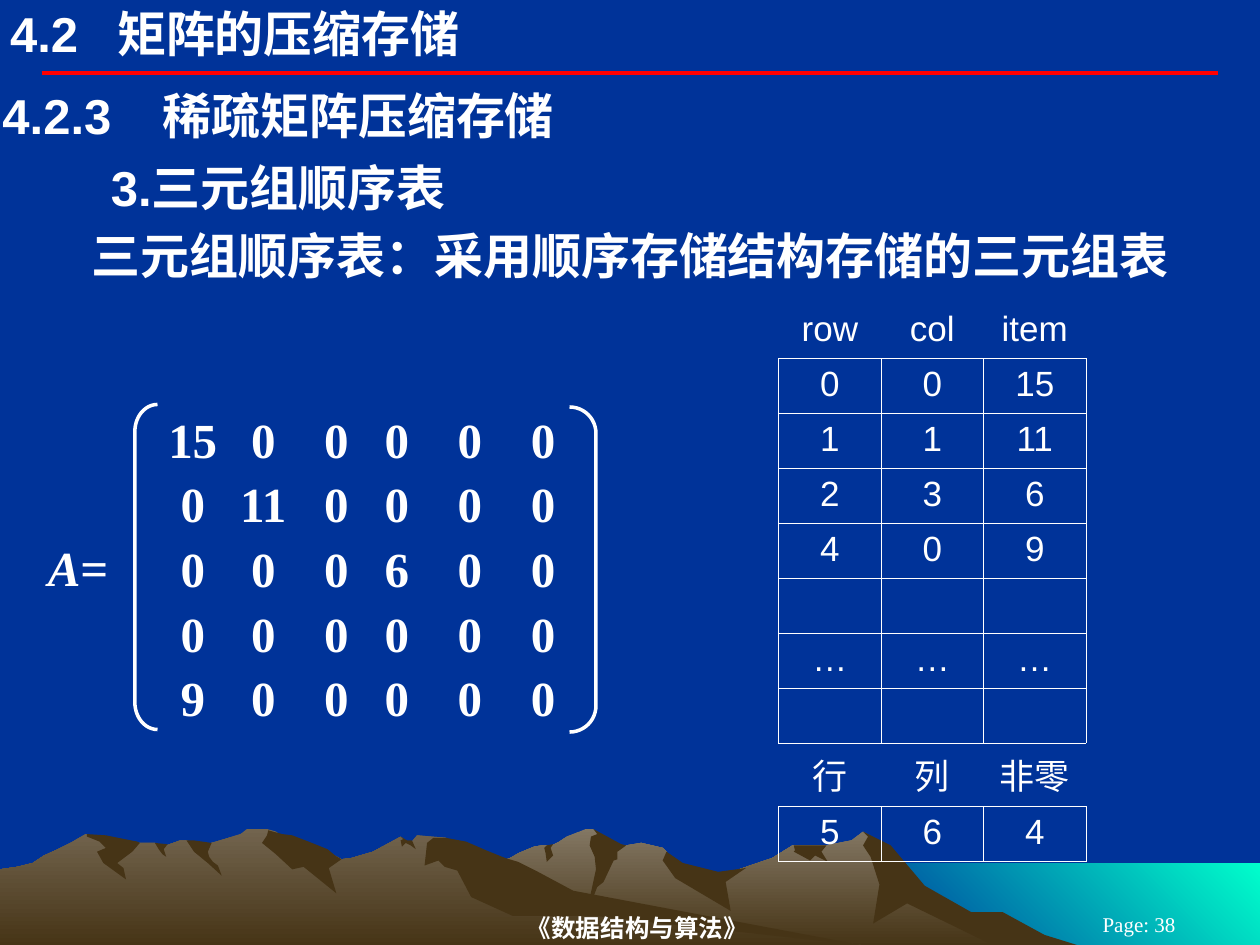
from lxml import etree
from pptx import Presentation
from pptx import util as u
from pptx.dml.color import RGBColor
from pptx.enum import shapes, text
from pptx.oxml.ns import qn

PX = 9144  # EMU per px, 100 px to the inch
WHITE, BROWN = "FFFFFF", "463416"
SANS, SERIF = "Arial", "Times New Roman"

SEA = [(1000, 752), (683, 752), (683, 685), (1000, 685)]
RIGHT_RIDGE = [
    (802, 740), (778, 727), (764, 723), (723, 698), (702, 671), (685, 660), (676, 667),
    (656, 671), (629, 671), (613, 681), (566, 697), (536, 690), (529, 676), (526, 673),
    (509, 669), (497, 671), (486, 673), (474, 661), (471, 658), (465, 658), (450, 664),
    (444, 668), (438, 671), (430, 671), (424, 672), (412, 677), (405, 681), (394, 685),
    (355, 698), (327, 709), (277, 739), (258, 751), (821, 751)]
LEFT_RIDGE = [
    (690, 751), (667, 748), (432, 712), (354, 665), (331, 663), (327, 668), (323, 668),
    (318, 664), (296, 676), (279, 681), (271, 682), (260, 676), (236, 681), (223, 663),
    (219, 660), (212, 658), (196, 658), (191, 662), (178, 666), (168, 669), (160, 671),
    (148, 667), (143, 667), (132, 671), (128, 671), (123, 669), (111, 669), (94, 671),
    (68, 662), (56, 669), (46, 674), (35, 679), (26, 685), (14, 688), (0, 690), (0, 751)]
RIGHT_SHADOWS = [
    [(796, 724), (771, 724), (734, 703), (707, 671), (685, 660), (689, 664), (685, 671),
     (691, 680), (698, 702), (693, 733), (720, 717), (792, 752), (858, 751), (829, 742)],
    [(471, 658), (474, 662), (469, 664), (468, 671), (472, 680), (473, 690), (465, 727),
     (474, 704), (479, 700), (487, 683), (490, 682), (490, 676), (497, 671), (493, 670)],
    [(529, 676), (526, 683), (536, 697), (580, 723), (576, 700), (592, 689), (570, 692),
     (542, 685)],
    [(650, 671), (630, 671), (631, 675), (630, 676), (643, 683), (647, 679), (657, 684),
     (652, 676), (656, 671)],
    [(433, 677), (432, 673), (434, 671), (439, 670), (437, 673), (439, 679), (434, 684)]]
LEFT_SHADOWS = [
    [(212, 663), (208, 669), (219, 678), (232, 690), (241, 688), (267, 709), (261, 689),
     (271, 682), (266, 679), (260, 674), (245, 668), (232, 663), (224, 662), (213, 659)],
    [(370, 668), (354, 665), (344, 665), (339, 669), (337, 687), (348, 683), (353, 688),
     (363, 691), (374, 712), (407, 727), (472, 727), (690, 751), (683, 750), (455, 707),
     (427, 692), (411, 684), (401, 681), (386, 675)],
    [(318, 667), (320, 666), (318, 664), (323, 667), (327, 667), (330, 674), (326, 671),
     (322, 669), (319, 672)],
    [(154, 667), (168, 669), (165, 676), (166, 680), (169, 684), (173, 687), (176, 695),
     (165, 685), (154, 676), (148, 667)],
    [(133, 670), (130, 674), (132, 680), (129, 678), (126, 674), (123, 669)],
    [(109, 668), (111, 669), (105, 676), (93, 685), (98, 689), (100, 698), (82, 685),
     (77, 676), (84, 673), (79, 668), (69, 664), (69, 662), (84, 663), (94, 665)]]

MATRIX = [[15, 0, 0, 0, 0, 0],
          [0, 11, 0, 0, 0, 0],
          [0, 0, 0, 6, 0, 0],
          [0, 0, 0, 0, 0, 0],
          [9, 0, 0, 0, 0, 0]]
MATRIX_TABS = [20, 76, 134, 182, 240, 298]

TRIPLES = [["row", "col", "item"], ["0", "0", "15"], ["1", "1", "11"], ["2", "3", "6"],
           ["4", "0", "9"], [""] * 3, ["…"] * 3, [""] * 3,
           ["行", "列", "非零"], ["5", "6", "4"]]
LABEL_ROWS = {0: ("lnB",), 8: ("lnT", "lnB")}  # borders the caption rows keep


def px(*lengths):
    return [u.Emu(n * PX) for n in lengths]


def rgb(code):
    return RGBColor.from_string(code)


def style(p, font, size, bold=False):
    for r in p.runs:
        f = r.font
        f.name, f.size, f.bold = font, u.Pt(size), bold
        f.color.rgb = rgb(WHITE)


def set_tabs(p, stops, align="l"):
    tab_list = etree.SubElement(p._p.get_or_add_pPr(), qn("a:tabLst"))
    for stop in stops:
        etree.SubElement(tab_list, qn("a:tab"), pos=str(stop * PX), algn=align)


def format_frame(tf, anchor=text.MSO_ANCHOR.TOP, inset=0):
    tf.word_wrap, tf.auto_size = True, text.MSO_AUTO_SIZE.NONE
    tf.vertical_anchor = anchor
    tf.margin_left = tf.margin_right = u.Emu(inset * PX)
    tf.margin_top = tf.margin_bottom = u.Emu(inset // 2 * PX)


def add_text(parent, box, words, font, size, bold=True, align=text.PP_ALIGN.LEFT,
             anchor=text.MSO_ANCHOR.TOP, inset=0, indent=0, tabs=()):
    tf = parent.add_textbox(*px(*box)).text_frame
    format_frame(tf, anchor, inset)
    p = tf.paragraphs[0]
    p.text, p.alignment = words, align
    if indent:
        p._p.get_or_add_pPr().set("marL", str(indent * PX))
    if tabs:
        set_tabs(p, tabs)
    style(p, font, size, bold)
    return p


def add_title(s):
    title = s.shapes.title
    title.left, title.top, title.width, title.height = px(8, 3, 650, 47)
    format_frame(title.text_frame)
    p = title.text_frame.paragraphs[0]
    p.text, p.alignment = "4.2\t矩阵的压缩存储", text.PP_ALIGN.LEFT
    set_tabs(p, [85])
    style(p, SANS, 28, True)


def add_outline(parent, points, colours, angle=0):
    """Fill a closed outline with one colour, or with a gradient of two."""
    builder = parent.build_freeform(*points[0], scale=PX)
    builder.add_line_segments(points[1:])
    sp = builder.convert_to_shape()
    sp.shadow.inherit = False
    sp.line.fill.background()
    if len(colours) == 1:
        sp.fill.solid()
        sp.fill.fore_color.rgb = rgb(colours[0])
        return
    sp.fill.gradient()
    sp.fill.gradient_angle = angle
    for stop, colour in zip(sp.fill.gradient_stops, colours):
        stop.color.rgb = rgb(colour)


def add_landscape(s):
    add_outline(s.shapes, SEA, ["00FFCC", "003399"], 225)
    mountains = s.shapes.add_group_shape().shapes
    for ridge, light, shadows in ((RIGHT_RIDGE, "837763", RIGHT_SHADOWS),
                                  (LEFT_RIDGE, "72644E", LEFT_SHADOWS)):
        add_outline(mountains, ridge, [light, BROWN], 270)
        for shadow in shadows:
            add_outline(mountains, shadow, [BROWN])


def add_rule(s):
    rule = s.shapes.add_connector(shapes.MSO_CONNECTOR.STRAIGHT, *px(33, 58, 967, 58))
    rule.line.color.rgb, rule.line.width = rgb("FF0000"), u.Pt(2.25)
    etree.SubElement(rule._element.spPr, qn("a:effectLst"))


def add_bracket(parent, kind, box, curve):
    sp = parent.add_shape(kind, *px(*box))
    sp.adjustments[0] = curve
    sp.shadow.inherit = False
    sp.fill.background()
    sp.line.color.rgb, sp.line.width = rgb(WHITE), u.Pt(2)


def add_matrix(s):
    group = s.shapes.add_group_shape().shapes
    tf = group.add_textbox(*px(133, 320, 367, 265)).text_frame
    format_frame(tf)
    for i, row in enumerate(MATRIX):
        p = tf.add_paragraph() if i else tf.paragraphs[0]
        p.text = "".join(f"\t{value}" for value in row)
        p.line_spacing = 1.1
        set_tabs(p, MATRIX_TABS, "ctr")
        style(p, SERIF, 28, True)
    add_bracket(group, shapes.MSO_SHAPE.LEFT_BRACKET, (107, 321, 18, 258), 1.2)
    add_bracket(group, shapes.MSO_SHAPE.RIGHT_BRACKET, (452, 323, 21, 258), 1)
    p = add_text(group, (38, 427, 60, 50), "A", SERIF, 28)
    p.add_run().text = "="
    style(p, SERIF, 28, True)
    p.runs[0].font.italic = True


def set_borders(cell, kept):
    tc_pr = cell._tc.get_or_add_tcPr()
    for i, side in enumerate(("lnL", "lnR", "lnT", "lnB")):
        ln = etree.Element(qn(f"a:{side}"), w="5715")
        if side in kept:
            fill = etree.SubElement(ln, qn("a:solidFill"))
            etree.SubElement(fill, qn("a:srgbClr"), val=WHITE)
        else:
            etree.SubElement(ln, qn("a:noFill"))
        tc_pr.insert(i, ln)


def add_triples(s):
    table = s.shapes.add_table(len(TRIPLES), 3, *px(618, 241, 244, 436)).table
    table.first_row = table.horz_banding = False
    for i, row in enumerate(TRIPLES):
        for j, words in enumerate(row):
            cell = table.cell(i, j)
            cell.fill.background()
            set_borders(cell, LABEL_ROWS.get(i, ("lnL", "lnR", "lnT", "lnB")))
            p = cell.text_frame.paragraphs[0]
            p.text, p.alignment = words, text.PP_ALIGN.CENTER
            style(p, SANS, 20)


def main():
    prs = Presentation()
    prs.slide_width, prs.slide_height = px(1000, 750)
    s = prs.slides.add_slide(prs.slide_layouts[5])
    s.background.fill.solid()
    s.background.fill.fore_color.rgb = rgb("003399")
    add_landscape(s)
    add_rule(s)
    centred = {"align": text.PP_ALIGN.CENTER, "anchor": text.MSO_ANCHOR.MIDDLE}
    add_text(s.shapes, (203, 722, 606, 28), "《数据结构与算法》", SERIF, 14, **centred)
    add_text(s.shapes, (825, 725, 158, 17), "Page: 38", SERIF, 12, bold=False, **centred)
    add_title(s)
    add_text(s.shapes, (0, 67, 1000, 49), "4.2.3\t稀疏矩阵压缩存储", SANS, 28,
             inset=2, tabs=[127])
    add_text(s.shapes, (0, 124, 1000, 49), "3.三元组顺序表", SANS, 28, inset=2, indent=86)
    add_text(s.shapes, (0, 178, 1000, 96), "三元组顺序表：采用顺序存储结构存储的三元组表",
             SANS, 28, inset=2, indent=71)
    add_matrix(s)
    add_triples(s)
    prs.save("out.pptx")


if __name__ == "__main__":
    main()
